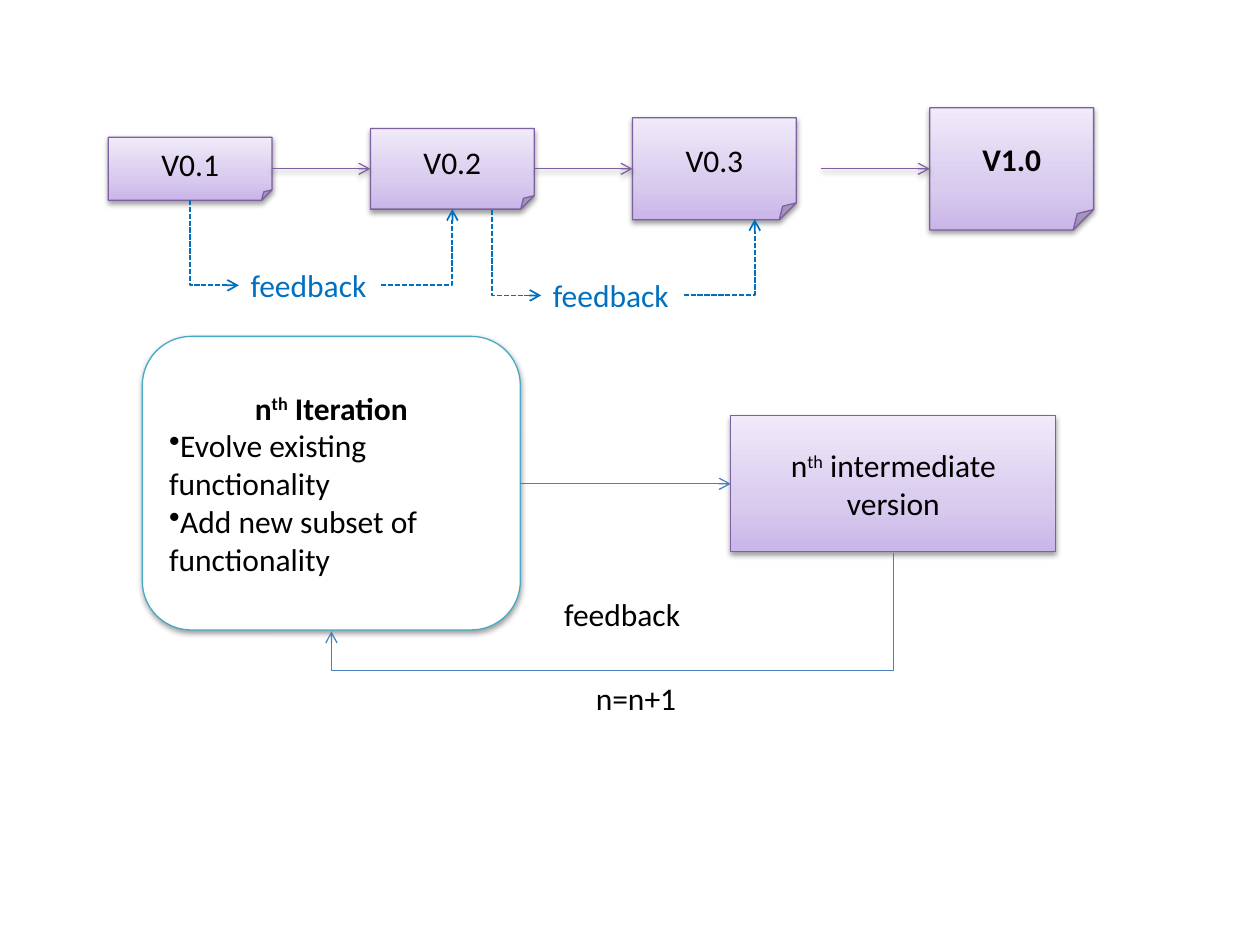
from copy import deepcopy

from lxml.etree import SubElement
from pptx import Presentation
from pptx.dml.color import RGBColor
from pptx.enum.dml import MSO_LINE
from pptx.enum.shapes import MSO_CONNECTOR as LINK, MSO_SHAPE as SHAPE
from pptx.enum.text import MSO_ANCHOR as ANCHOR, PP_ALIGN as ALIGN
from pptx.oxml.ns import qn
from pptx.util import Inches, Pt

CELL = Inches(0.1)
COLUMNS, ROWS = 100, 75
BLACK, WHITE = "000000", "FFFFFF"
PURPLE, TEAL, BLUE, FEEDBACK_BLUE = "7D60A0", "46AAC5", "4B7EBC", "0070C0"
LILAC_STOPS = [(0, "C9B5E8"), (0.35, "D8CBEE"), (1, "F0EAF9")]
VERSION_WIDTH, VERSION_MIDDLE = 13, 13.4


def cells(*counts):
    """Turn counts of grid cells into lengths."""
    return [round(count * CELL) for count in counts]


def rgb(code):
    """Turn a hex string into a colour."""
    return RGBColor.from_string(code)


def add_shadow(item):
    """Give a shape or connector a soft shadow below it."""
    effects = item._element.spPr.find(qn("a:effectLst"))
    shadow = SubElement(effects, qn("a:outerShdw"), blurRad="40000", dist="20000",
                        dir="5400000", rotWithShape="0")
    tint = SubElement(shadow, qn("a:srgbClr"), val=BLACK)
    SubElement(tint, qn("a:alpha"), val="38000")


def fill_lilac(shape):
    """Fill a shape with the three-stop lilac gradient."""
    shape.fill.gradient()
    shape.fill.gradient_angle = 90
    stop_list = shape._element.spPr.find(qn("a:gradFill")).find(qn("a:gsLst"))
    stop_list.append(deepcopy(stop_list[0]))
    for stop, (position, code) in zip(shape.fill.gradient_stops, LILAC_STOPS):
        stop.position = position
        stop.color.rgb = rgb(code)


def add_runs(paragraph, words, color=BLACK, bold=False):
    """Add (text, raised) runs to a paragraph."""
    for text, raised in words:
        run = paragraph.add_run()
        run.text = text
        font = run.font
        font.name, font.size, font.bold = "Calibri", Pt(18), bold
        font.color.rgb = rgb(color)
        if raised:
            run._r.get_or_add_rPr().set("baseline", "30000")


def add_card(slide, kind, box, words, bold=False, outline=PURPLE, plain=False):
    """Draw a shadowed card with a centred heading and return its text frame."""
    card = slide.shapes.add_shape(kind, *cells(*box))
    if plain:
        card.fill.solid()
        card.fill.fore_color.rgb = rgb(WHITE)
    else:
        fill_lilac(card)
    card.line.color.rgb = rgb(outline)
    card.line.width = Pt(0.75)
    card.shadow.inherit = False
    add_shadow(card)
    frame = card.text_frame
    frame.word_wrap = True
    frame.vertical_anchor = ANCHOR.MIDDLE
    heading = frame.paragraphs[0]
    heading.alignment = ALIGN.CENTER
    add_runs(heading, words, bold=bold)
    return frame


def add_bullet(frame, text):
    """Add a left-aligned bullet whose lines start at the margin."""
    point = frame.add_paragraph()
    point.alignment = ALIGN.LEFT
    SubElement(point._p.get_or_add_pPr(), qn("a:buChar"), char="•")
    add_runs(point, [(text, False)])


def add_label(slide, left, top, width, text, color=BLACK):
    """Add an unwrapped one-line label."""
    label = slide.shapes.add_textbox(*cells(left, top, width, 4))
    label.text_frame.word_wrap = False
    add_runs(label.text_frame.paragraphs[0], [(text, False)], color)


def add_arrow(slide, kind, start, end, color, weight=0.75, shadowed=False):
    """Draw an open-headed arrow from start to end."""
    arrow = slide.shapes.add_connector(kind, *cells(*start, *end))
    arrow.line.color.rgb = rgb(color)
    arrow.line.width = Pt(weight)
    SubElement(arrow.line._get_or_add_ln(), qn("a:tailEnd"), type="arrow")
    SubElement(arrow._element.spPr, qn("a:effectLst"))
    if shadowed:
        add_shadow(arrow)
    return arrow


def turn(arrow, degrees):
    """Rotate a connector about its middle."""
    arrow._element.spPr.find(qn("a:xfrm")).set("rot", str(degrees * 60000))


def move_bend(arrow, share):
    """Place the middle part of an elbow at a share of its length."""
    geometry = arrow._element.spPr.find(qn("a:prstGeom"))
    SubElement(geometry.get_or_add_avLst(), qn("a:gd"), name="adj1",
               fmla=f"val {round(share * 100000)}")


def add_corner(slide, start, end, degrees=0):
    """Draw a dashed feedback arrow with a single bend."""
    corner = add_arrow(slide, LINK.ELBOW, start, end, FEEDBACK_BLUE, 1)
    corner.line.dash_style = MSO_LINE.SQUARE_DOT
    corner._element.spPr.find(qn("a:prstGeom")).set("prst", "bentConnector2")
    turn(corner, degrees)


def add_feedback(slide, left, top):
    """Draw a feedback label with the dashed arrows into and out of it."""
    add_corner(slide, (left + 1.5, top - 3.3), (left - 5.3, top + 0.6), 270)
    add_label(slide, left, top, 11.3, "feedback", FEEDBACK_BLUE)
    add_corner(slide, (left + 11.35, top + 2), (left + 17, top - 4))


def add_versions(slide):
    """Draw the growing versions and the arrows between them."""
    versions = [("V0.1", 8.6, 5), ("V0.2", 29.4, 6.4), ("V0.3", 50.2, 8.1), ("V1.0", 73.8, 9.7)]
    for name, left, height in versions:
        box = (left, VERSION_MIDDLE - height / 2, VERSION_WIDTH, height)
        add_card(slide, SHAPE.FOLDED_CORNER, box, [(name, False)], bold=name == "V1.0")
    for start, end in [(21.6, 29.4), (42.4, 50.2), (65.2, 73.8)]:
        add_arrow(slide, LINK.ELBOW, (start, VERSION_MIDDLE), (end, VERSION_MIDDLE),
                  PURPLE, shadowed=True)


def add_iteration(slide):
    """Draw the iteration cycle with its result and way back."""
    add_card(slide, SHAPE.RECTANGLE, (58, 33, 25.8, 10.8),
             [("n", False), ("th", True), (" intermediate version", False)])
    iteration = add_card(slide, SHAPE.ROUNDED_RECTANGLE, (11.3, 26.7, 30, 23.3),
                         [("n", False), ("th", True), (" Iteration", False)],
                         bold=True, outline=TEAL, plain=True)
    add_bullet(iteration, "Evolve existing functionality")
    add_bullet(iteration, "Add new subset of functionality")
    add_arrow(slide, LINK.STRAIGHT, (41.3, 38.4), (58, 38.4), BLUE)
    way_back = add_arrow(slide, LINK.ELBOW, (45.5, 24.7), (51.7, 69.3), BLUE)
    move_bend(way_back, 1.5)
    turn(way_back, 90)
    add_label(slide, 43.8, 46.7, 11.3, "feedback")
    add_label(slide, 46.3, 53.4, 8.5, "n=n+1")


def main():
    """Build and save the slide."""
    deck = Presentation()
    deck.slide_width, deck.slide_height = cells(COLUMNS, ROWS)
    slide = deck.slides.add_slide(deck.slide_layouts[6])
    add_iteration(slide)
    add_versions(slide)
    add_feedback(slide, 18.9, 20.6)
    add_feedback(slide, 42.9, 21.4)
    deck.save("out.pptx")


if __name__ == "__main__":
    main()
